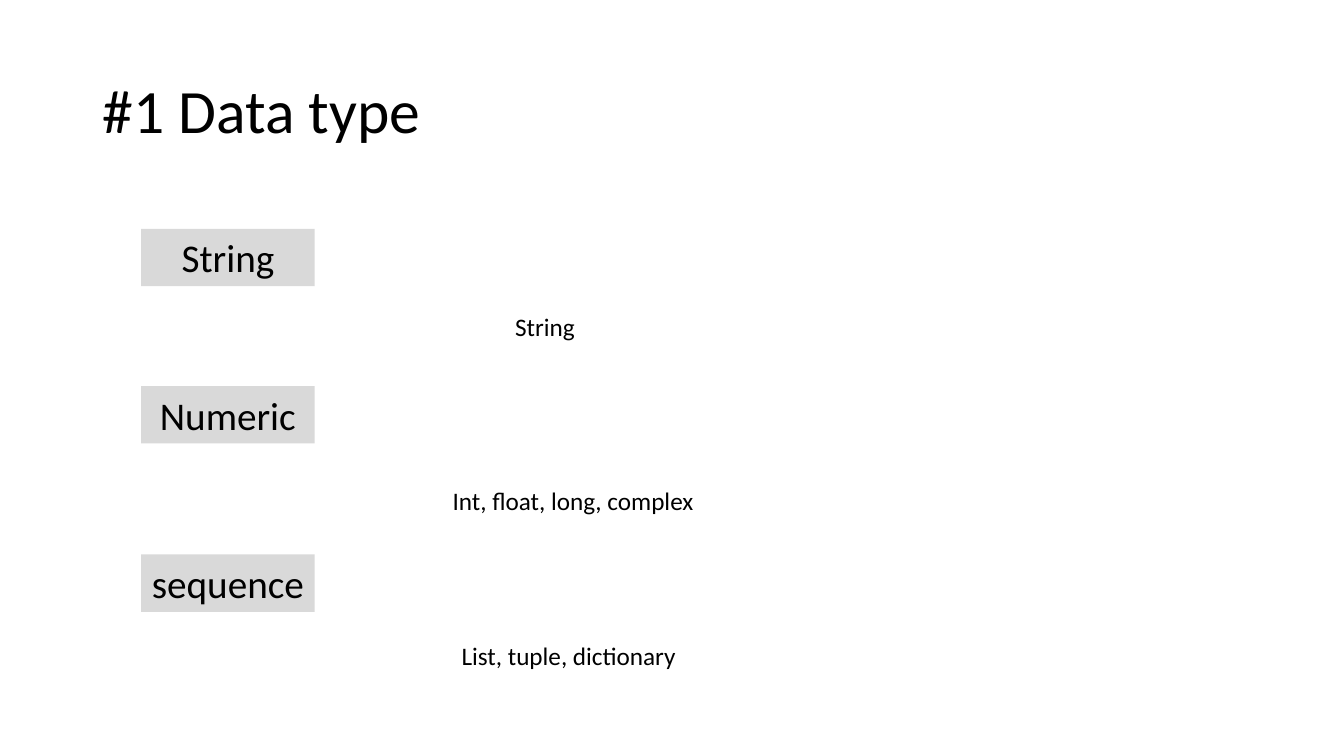
from pptx import Presentation
from pptx.dml.color import RGBColor
from pptx.enum import shapes, text
from pptx.util import Inches, Pt

BLACK = RGBColor(0x00, 0x00, 0x00)
GREY = RGBColor(0xD9, 0xD9, 0xD9)
FONT = "Calibri"

TITLE = "#1 Data type"
LABEL_LEFT, LABEL_WIDTH, LABEL_HEIGHT = 1.4, 1.72, 0.57
EXAMPLE_HEIGHT = 0.4
DATA_TYPES = [
    {"label": "String", "top": 2.27, "examples": "String", "at": (5.01, 3.04, 3.92)},
    {"label": "Numeric", "top": 3.83, "examples": "Int, float, long, complex", "at": (4.39, 4.77, 3.33)},
    {"label": "sequence", "top": 5.5, "examples": "List, tuple, dictionary", "at": (4.48, 6.3, 3.23)},
]


def write(box, words, size, align=text.PP_ALIGN.LEFT, anchor=text.MSO_ANCHOR.TOP,
          fit=text.MSO_AUTO_SIZE.SHAPE_TO_FIT_TEXT, spacing=1.0):
    frame = box.text_frame
    frame.word_wrap = True
    frame.auto_size = fit
    frame.vertical_anchor = anchor
    para = frame.paragraphs[0]
    para.alignment = align
    para.line_spacing = spacing
    span = para.add_run()
    span.text = words
    span.font.name = FONT
    span.font.size = Pt(size)
    span.font.color.rgb = BLACK


def main():
    deck = Presentation()
    deck.slide_width, deck.slide_height = Inches(13.33), Inches(7.5)
    page = deck.slides.add_slide(deck.slide_layouts[5])

    title = page.shapes.title
    title.left, title.top = Inches(0.92), Inches(0.4)
    title.width, title.height = Inches(11.5), Inches(1.45)
    write(title, TITLE, 44, anchor=text.MSO_ANCHOR.MIDDLE,
          fit=text.MSO_AUTO_SIZE.NONE, spacing=0.9)

    for data_type in DATA_TYPES:
        label = page.shapes.add_shape(
            shapes.MSO_SHAPE.RECTANGLE, Inches(LABEL_LEFT), Inches(data_type["top"]),
            Inches(LABEL_WIDTH), Inches(LABEL_HEIGHT))
        label.shadow.inherit = False
        label.fill.solid()
        label.fill.fore_color.rgb = GREY
        label.line.fill.background()
        write(label, data_type["label"], 28, align=text.PP_ALIGN.CENTER)

        left, top, width = data_type["at"]
        examples = page.shapes.add_textbox(
            Inches(left), Inches(top), Inches(width), Inches(EXAMPLE_HEIGHT))
        write(examples, data_type["examples"], 18)

    deck.save("out.pptx")


if __name__ == "__main__":
    main()
